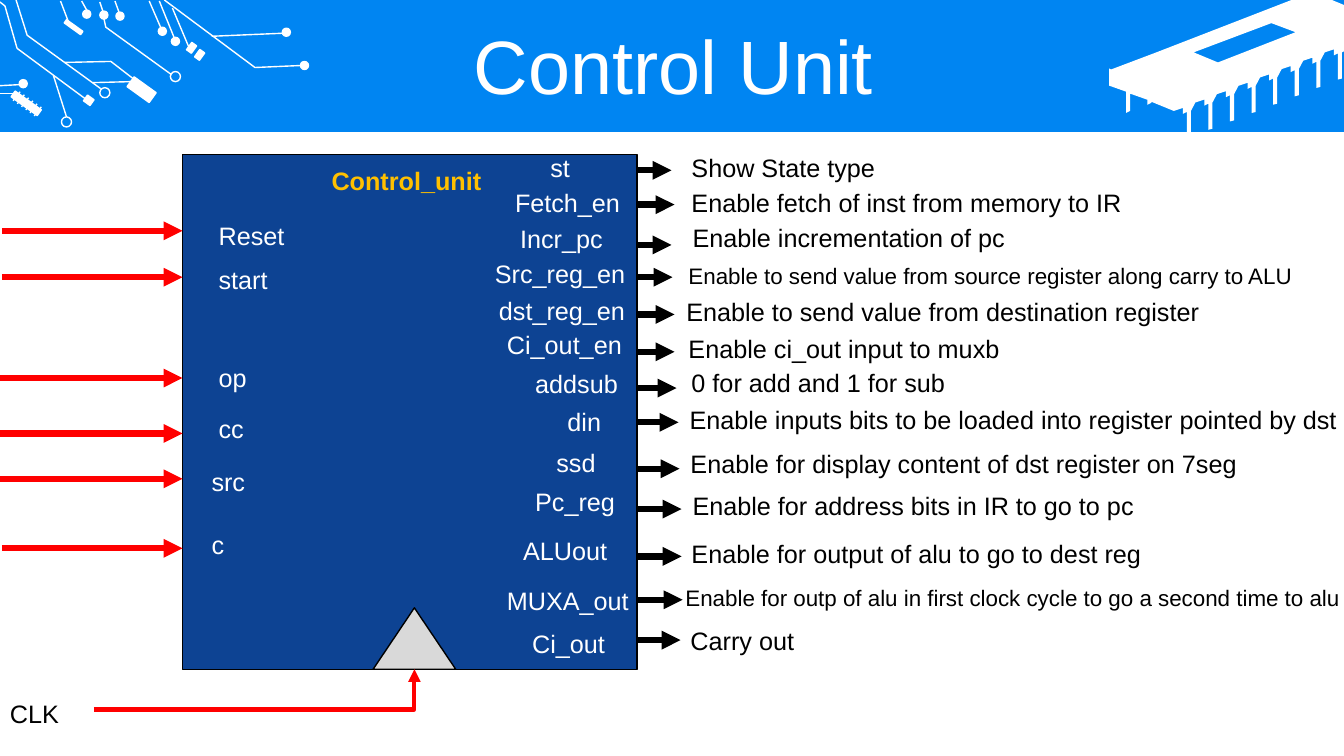
"""Build the Control Unit slide: a block with its inputs, outputs and clock."""
from dataclasses import dataclass
from lxml import etree
from pptx import Presentation
from pptx.dml.color import RGBColor
from pptx.enum import shapes, text
from pptx.oxml.ns import qn
from pptx.util import Inches, Pt

TITLE = "Control Unit"
OUTPUTS = [
    # label, (left, top, width), arrow start, description, (left, top, width)
    ("st", (5.36, 1.46, 0.91), (5.95, 1.69), "Show State type", (6.76, 1.46, 5.19)),
    ("Fetch_en", (5.01, 1.81, 1.27), (5.98, 2.03), "Enable fetch of inst from memory to IR", (6.76, 1.81, 5.19)),
    ("Incr_pc", (5.06, 2.17, 1.23), (5.95, 2.43), "Enable incrementation of pc", (6.77, 2.16, 5.19)),
    ("Src_reg_en", (4.81, 2.51, 1.51), (5.96, 2.75),
     "Enable to send value from source register along carry to ALU", (6.73, 2.55, 6.25)),
    ("dst_reg_en", (4.85, 2.88, 1.49), (5.98, 3.12),
     "Enable to send value from destination register", (6.71, 2.89, 6.06)),
    ("Ci_out_en", (4.93, 3.22, 1.37), (5.98, 3.49), "Enable ci_out input to muxb", (6.73, 3.26, 5.19)),
    ("addsub", (5.21, 3.61, 1.04), (6, 3.85), "0 for add and 1 for sub", (6.76, 3.59, 5.19)),
    ("din", (5.53, 3.98, 0.71), (6.02, 4.19),
     "Enable inputs bits to be loaded into register pointed by dst", (6.74, 3.96, 7.09)),
    ("ssd", (5.42, 4.39, 0.88), (6.03, 4.65),
     "Enable for display content of dst register on 7seg", (6.75, 4.4, 5.79)),
    ("Pc_reg", (5.21, 4.78, 1.07), (6.05, 5.05), "Enable for address bits in IR to go to pc", (6.77, 4.82, 5.19)),
    ("ALUout", (5.09, 5.26, 1.18), (6.05, 5.52), "Enable for output of alu to go to dest reg", (6.76, 5.29, 5.19)),
    ("MUXA_out", (4.93, 5.76, 1.43), (6.06, 5.95),
     "Enable for outp of alu in first clock cycle to go a second time to alu", (6.7, 5.75, 6.76)),
    ("Ci_out", (5.18, 6.18, 1.07), (6.04, 6.35), "Carry out", (6.75, 6.15, 5.19)),
]
SMALL_PRINT = {"Src_reg_en", "MUXA_out"}
INPUTS = [
    # label, (left, top), arrow start
    ("Reset", (2.07, 2.14), (0.02, 2.29)), ("start", (2.07, 2.57), (0.02, 2.75)),
    ("op", (2.07, 3.55), (0, 3.75)), ("cc", (2.07, 4.05), (0, 4.3)),
    ("src", (2, 4.58), (0, 4.75)), ("c", (2, 5.2), (0.02, 5.44)),
]
BLOCK = (1.81, 1.53, 4.51, 5.11)
ARROW_LENGTH = 0.71
COMPONENTS = [
    (1.27, 0.83, 0.27, 0.12), (0.63, 0.25, 0.2, 0.04), (0.84, 0.96, 0.08, 0.07),
    (1.87, 0.43, 0.06, 0.09), (1.95, 0.5, 0.06, 0.09), (0.1, 0.99, 0.32, 0.07),
]
PADS = [(2.98, 0.61), (2.8, 0.28), (0.82, 0.1), (0.99, 0.11), (1.15, 0.12), (0.19, 0.79), (1.7, 0.37), (1.57, 0.27)]
RINGS = [(1.69, 0.71), (0.99, 0.87), (0.61, 1.16)]
TRACES = [
    [(0.6, 0.01), (0.68, 0.22)], [(0.81, 0.01), (0.86, 0.1)], [(0.99, 0.02), (1.02, 0.11)],
    [(1.14, 0.01), (1.18, 0.12)], [(1.48, 0.01), (1.61, 0.31)], [(1.58, 0.01), (1.73, 0.38)],
    [(2.1, 0.36), (2.8, 0.33)], [(1.71, 0.08), (1.87, 0.46)], [(0, 0.85), (0.19, 0.84)],
    [(0, 0.93), (0.14, 0.93)], [(0.53, 0.75), (0.66, 1.16)], [(0.92, 0.82), (1.3, 0.81)],
    [(1.63, 0), (2.53, 0.67), (2.99, 0.65)], [(0.16, 0), (0.27, 0.35), (1, 0.88)],
    [(0, 0.02), (0.05, 0.06), (0.17, 0.48), (0.86, 0.99)],
    [(0.64, 0.62), (1.1, 0.61), (1.32, 0.78)], [(1.03, 0.18), (1.05, 0.27), (1.7, 0.74)],
]
TRACES += [[(0.13 + 0.042 * i, 1 + 0.03 * i), (0.2 + 0.042 * i, 0.91 + 0.03 * i)] for i in range(6)]
CHIP_WINDOW = [(12.61, 0.23), (11.84, 0.52), (12.08, 0.62), (12.85, 0.32)]
CHIP_TOP = [(12.81, 0), (13.21, 0), (13.33, 0.05), (13.33, 0.51)]
CHIP_END = [
    (11.42, 1.01), (11.42, 1.02), (11.38, 1.04), (11.38, 0.99), (11.21, 0.93), (11.21, 1.1),
    (11.17, 1.12), (11.17, 0.91), (11, 0.85), (11, 0.68), (11.02, 0.69), (11.47, 0.52),
]
PIN = [(0, 0), (0, 0.26), (-0.04, 0.27), (-0.04, 0.01), (-0.08, 0.03), (-0.08, -0.03), (-0.17, 0)]
PINS = [(13.31 - 0.214 * i + dx, 0.52 + 0.083 * i + dy) for i in range(8) for dx, dy in PIN]


@dataclass(frozen=True)
class Theme:
    """Colours, font and type sizes."""
    banner: str = "0085F2"
    block: str = "0D4393"
    clock: str = "D9D9D9"
    signal: str = "FF0000"
    name: str = "FFC000"
    light: str = "FFFFFF"
    dark: str = "000000"
    font: str = "Arial"
    title: int = 54
    body: int = 18
    small: int = 16
    tilt: float = 35.7


T = Theme()
MSO = shapes.MSO_SHAPE
prs = Presentation()
prs.slide_width, prs.slide_height = Inches(13.33), Inches(7.5)
s = prs.slides.add_slide(prs.slide_layouts[5])


def write(tf, content, size=T.body, color=T.dark, bold=False):
    """Put formatted text into a text frame."""
    tf.word_wrap = True
    p = tf.paragraphs[0]
    r = p.add_run()
    r.text = content
    r.font.name, r.font.size, r.font.bold = T.font, Pt(size), bold
    r.font.color.rgb = RGBColor.from_string(color)
    return p


def label(content, left, top, width, **fmt):
    """Add a one-line text box."""
    write(s.shapes.add_textbox(*map(Inches, (left, top, width, 0.4))).text_frame, content, **fmt)


def paint(sp, fill=None, line=None):
    """Set fill and outline of a shape and drop its shadow."""
    sp.shadow.inherit = False
    if fill:
        sp.fill.solid()
        sp.fill.fore_color.rgb = RGBColor.from_string(fill)
    else:
        sp.fill.background()
    if line:
        sp.line.color.rgb = RGBColor.from_string(line)
        sp.line.width = Pt(1)
    else:
        sp.line.fill.background()


def shape(kind, box, fill=None, line=None, tilt=0):
    """Add a preset shape."""
    sp = s.shapes.add_shape(kind, *map(Inches, box))
    sp.rotation = tilt
    paint(sp, fill, line)


def outline(*contours, closed=True, **style):
    """Add a freeform made of one or more contours."""
    contours = [[(Inches(x), Inches(y)) for x, y in c] for c in contours]
    fb = s.shapes.build_freeform(*contours[0][0])
    for i, c in enumerate(contours):
        if i:
            fb.move_to(*c[0])
        fb.add_line_segments(c[1:], close=closed)
    paint(fb.convert_to_shape(), **style)


def connect(start, end, color, width, head=True, bent=False):
    """Add a straight or one-corner connector."""
    kind = shapes.MSO_CONNECTOR.ELBOW if bent else shapes.MSO_CONNECTOR.STRAIGHT
    c = s.shapes.add_connector(kind, *map(Inches, (*start, *end)))
    c.line.color.rgb = RGBColor.from_string(color)
    c.line.width = Pt(width)
    pr = c.element.spPr
    if bent:
        pr.find(qn("a:prstGeom")).set("prst", "bentConnector2")
    if head:
        etree.SubElement(pr.find(qn("a:ln")), qn("a:tailEnd"), type="triangle")
    etree.SubElement(pr, qn("a:effectLst"))


def draw_banner():
    """Draw the blue band with its chip, circuit traces and title."""
    shape(MSO.RECTANGLE, (0, 0, 13.33, 1.31), T.banner)
    outline(CHIP_WINDOW, CHIP_TOP + PINS + CHIP_END, fill=T.light)
    for box in COMPONENTS:
        shape(MSO.RECTANGLE, box, T.light, T.light, T.tilt)
    for pad in PADS:
        shape(MSO.OVAL, (*pad, 0.08, 0.08), T.light, T.light)
    for ring in RINGS:
        shape(MSO.OVAL, (*ring, 0.1, 0.1), line=T.light)
    for trace in TRACES:
        if len(trace) == 2:
            connect(*trace, T.light, 1, head=False)
        else:
            outline(trace, closed=False, line=T.light)
    title = s.shapes.title
    title.left, title.top, title.width, title.height = map(Inches, (0.35, 0.3, 12.66, 0.79))
    tf = title.text_frame
    tf.auto_size = text.MSO_AUTO_SIZE.NONE
    tf.vertical_anchor = text.MSO_ANCHOR.MIDDLE
    p = write(tf, TITLE, size=T.title, color=T.light)
    p.alignment, p.line_spacing = text.PP_ALIGN.CENTER, 0.9
    s.shapes.element.append(title.element)


def draw_unit():
    """Draw the block, its signals and its clock."""
    for _, _, (x, y), _, _ in OUTPUTS:
        connect((x, y), (x + ARROW_LENGTH, y), T.dark, 4.5)
    shape(MSO.RECTANGLE, BLOCK, T.block, T.dark)
    shape(MSO.ISOSCELES_TRIANGLE, (3.7, 6.03, 0.82, 0.61), T.clock, T.dark)
    connect((0.93, 7.04), (4.11, 6.64), T.signal, 3, bent=True)
    label("CLK", 0, 6.88, 0.93)
    label("Control_unit", 3.19, 1.59, 1.74, color=T.name, bold=True)
    for name, at, (x, y) in INPUTS:
        label(name, *at, 1.6, color=T.light)
        connect((x, y), (BLOCK[0], y), T.signal, 4.5)
    for name, at, _, meaning, place in OUTPUTS:
        label(name, *at, color=T.light)
        label(meaning, *place, size=T.small if name in SMALL_PRINT else T.body)


draw_banner()
draw_unit()
prs.save("out.pptx")
